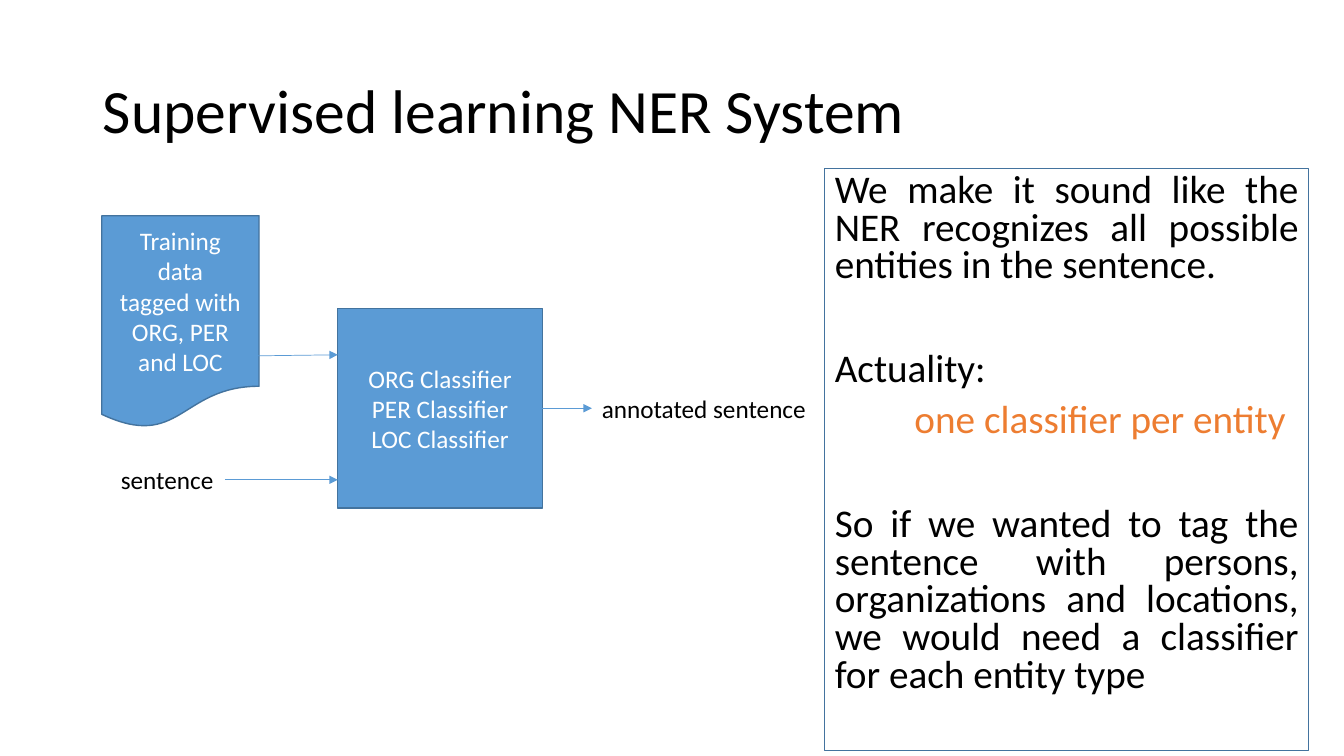
from pptx import Presentation
from pptx.dml.color import RGBColor
from pptx.enum import shapes, text
from pptx.oxml.ns import qn
from pptx.util import Inches, Pt
from lxml import etree

BLUE = RGBColor(0x5B, 0x9B, 0xD5)
OUTLINE = RGBColor(0x43, 0x73, 0x9E)
ORANGE = RGBColor(0xED, 0x7D, 0x31)
BLACK = RGBColor(0, 0, 0)
WHITE = RGBColor(0xFF, 0xFF, 0xFF)


def place(shape, left, top, width, height):
    shape.left, shape.top = Inches(left), Inches(top)
    shape.width, shape.height = Inches(width), Inches(height)


def write(frame, lines, size, color, align):
    frame.text = "\n".join(lines)
    for paragraph in frame.paragraphs:
        paragraph.alignment = align
        paragraph.font.name = "Calibri"
        paragraph.font.size = Pt(size)
        paragraph.font.color.rgb = color


deck = Presentation()
deck.slide_width, deck.slide_height = Inches(13.33), Inches(7.5)
page = deck.slides.add_slide(deck.slide_layouts[1])

title = page.shapes.title
place(title, 0.92, 0.4, 11.5, 1.45)
write(title.text_frame, ["Supervised learning NER System"], 44, BLACK, text.PP_ALIGN.LEFT)
title.text_frame.auto_size = text.MSO_AUTO_SIZE.NONE
title.text_frame.vertical_anchor = text.MSO_ANCHOR.MIDDLE
title.text_frame.paragraphs[0].line_spacing = 0.9

flow_shapes = [
    (shapes.MSO_SHAPE.RECTANGLE, (3.35, 3.06, 2.03, 1.98),
     ["ORG Classifier", "PER Classifier", "LOC Classifier"]),
    (shapes.MSO_SHAPE.FLOWCHART_DOCUMENT, (1.01, 2.14, 1.56, 2.11),
     ["Training", "data", "tagged with", "ORG, PER and LOC"]),
]
flow_boxes = []
for kind, area, lines in flow_shapes:
    box = page.shapes.add_shape(kind, *map(Inches, area))
    box.shadow.inherit = False
    box.fill.solid()
    box.fill.fore_color.rgb = BLUE
    box.line.color.rgb = OUTLINE
    box.line.width = Pt(1)
    box.text_frame.vertical_anchor = text.MSO_ANCHOR.MIDDLE
    write(box.text_frame, lines, 18, WHITE, text.PP_ALIGN.CENTER)
    flow_boxes.append(box)
classifiers, training_data = flow_boxes

labels = []
for caption, area in [
    ("sentence", (1.1, 4.56, 1.13, 0.4)),
    ("annotated sentence", (5.87, 3.85, 2.25, 0.4)),
]:
    label = page.shapes.add_textbox(*map(Inches, area))
    write(label.text_frame, [caption], 18, BLACK, text.PP_ALIGN.LEFT)
    label.text_frame.word_wrap = False
    label.text_frame.auto_size = text.MSO_AUTO_SIZE.SHAPE_TO_FIT_TEXT
    labels.append(label)
sentence, annotated = labels

arrows = []
for ends in [
    (2.56, 3.53, 3.35, 3.52),
    (2.23, 4.76, 3.35, 4.76),
    (5.38, 4.05, 5.87, 4.05),
]:
    arrow = page.shapes.add_connector(shapes.MSO_CONNECTOR.STRAIGHT, *map(Inches, ends))
    arrow.line.color.rgb = BLUE
    arrow.line.width = Pt(0.5)
    etree.SubElement(arrow.line._get_or_add_ln(), qn("a:tailEnd"), type="triangle")
    etree.SubElement(arrow._element.spPr, qn("a:effectLst"))
    arrows.append(arrow)
training_arrow, sentence_arrow, output_arrow = arrows
sentence_arrow.begin_connect(sentence, 3)
output_arrow.begin_connect(classifiers, 3)
output_arrow.end_connect(annotated, 1)

body = page.placeholders[1]
place(body, 8.18, 1.67, 4.8, 5.78)
body.line.color.rgb = OUTLINE
body.line.width = Pt(0.75)
remarks = [
    ("We make it sound like the NER recognizes all possible entities in the sentence.", 10, 0, BLACK),
    ("Actuality:", 47, 0, BLACK),
    ("one classifier per entity", 10, 0.79, ORANGE),
    ("So if we wanted to tag the sentence with persons, organizations and locations, "
     "we would need a classifier for each entity type", 47, 0, BLACK),
]
write(body.text_frame, [remark[0] for remark in remarks], 28, BLACK, text.PP_ALIGN.JUSTIFY)
body.text_frame.auto_size = text.MSO_AUTO_SIZE.NONE
body.text_frame.vertical_anchor = text.MSO_ANCHOR.TOP
for paragraph, (_, gap, indent, color) in zip(body.text_frame.paragraphs, remarks):
    paragraph.line_spacing = 0.8
    paragraph.space_before = Pt(gap)
    paragraph.font.color.rgb = color
    properties = paragraph._p.get_or_add_pPr()
    properties.set("marL", str(Inches(indent)))
    properties.set("indent", "0")
    properties.find(qn("a:defRPr")).addprevious(etree.Element(qn("a:buNone")))

deck.save("out.pptx")
